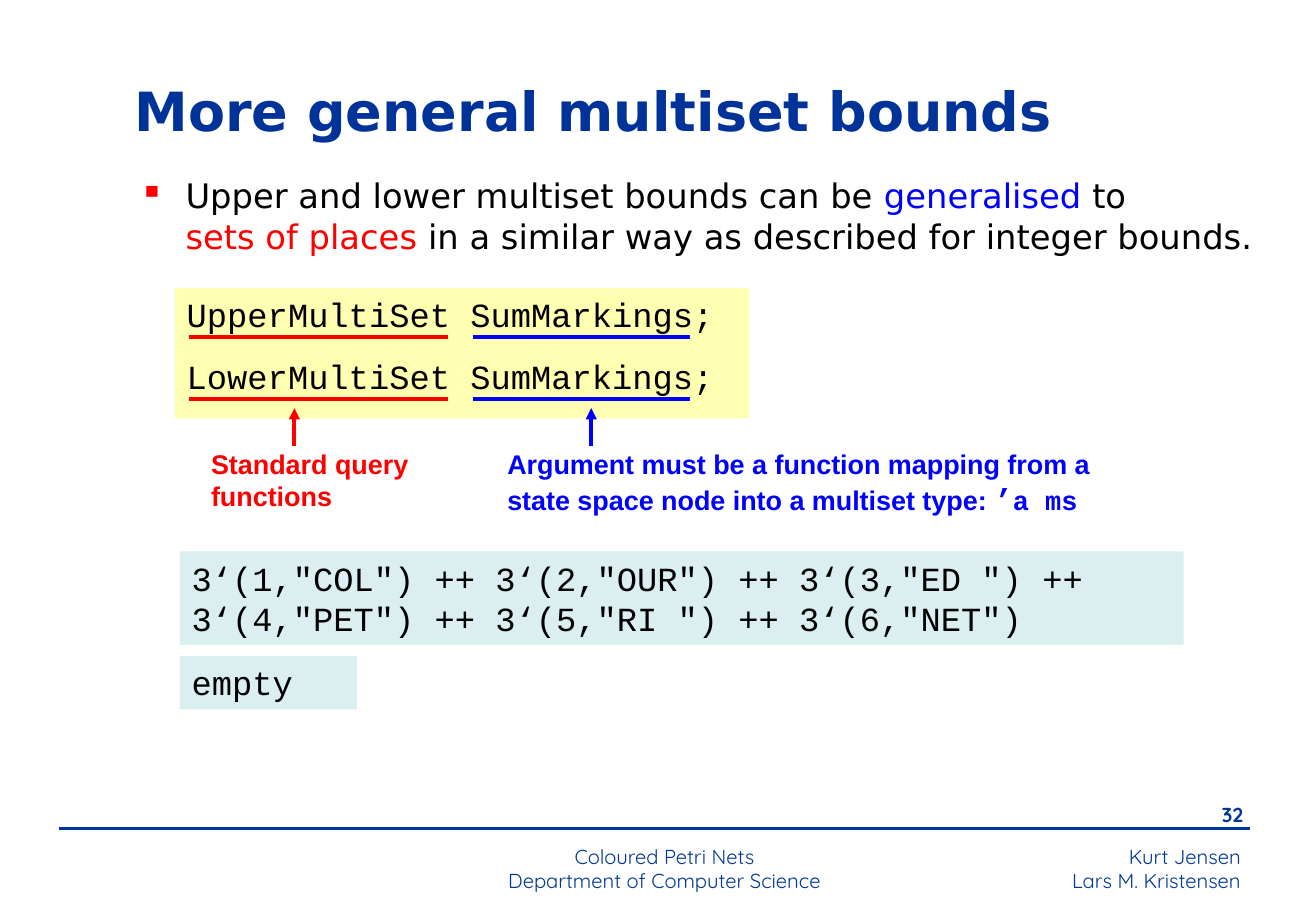
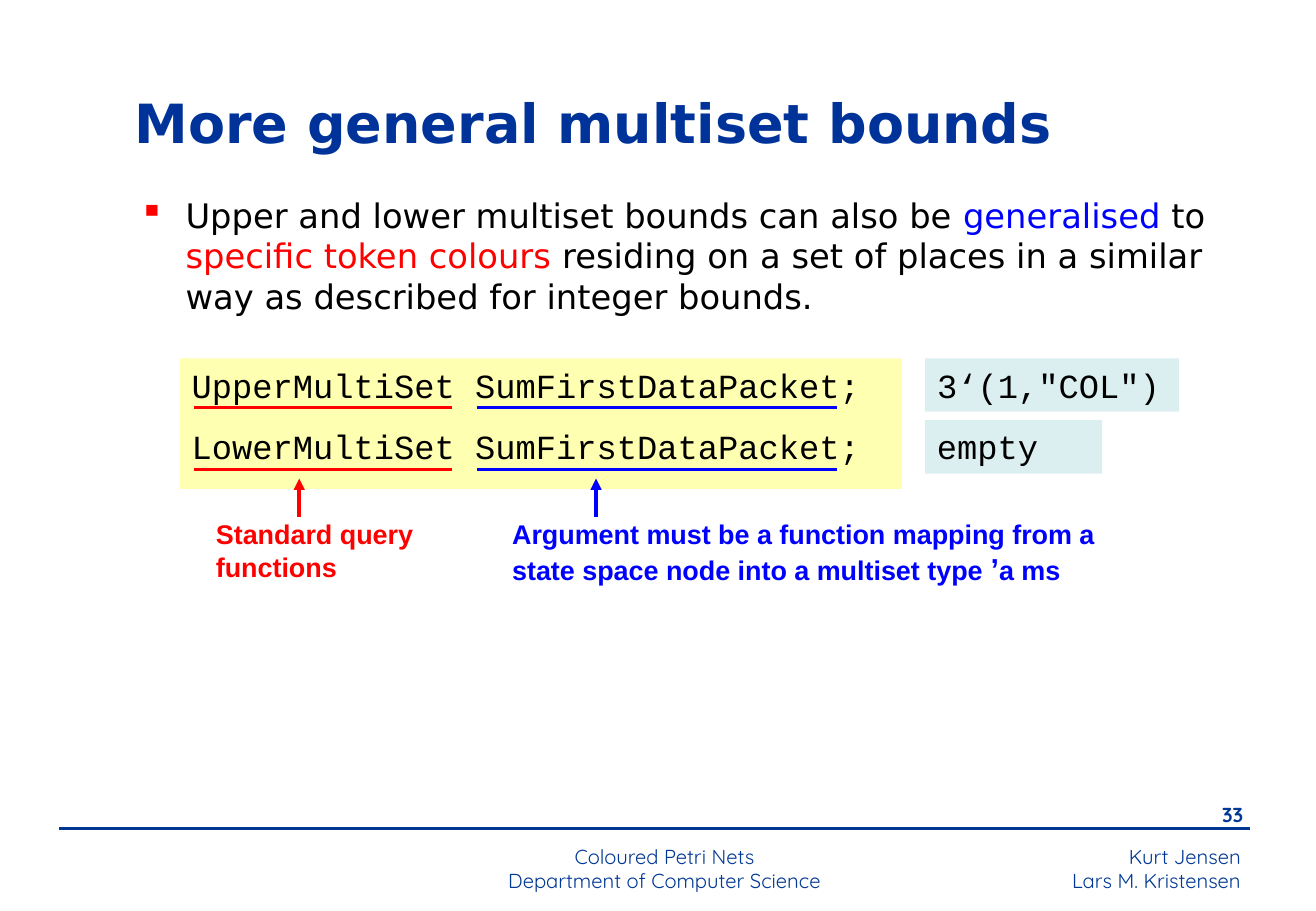
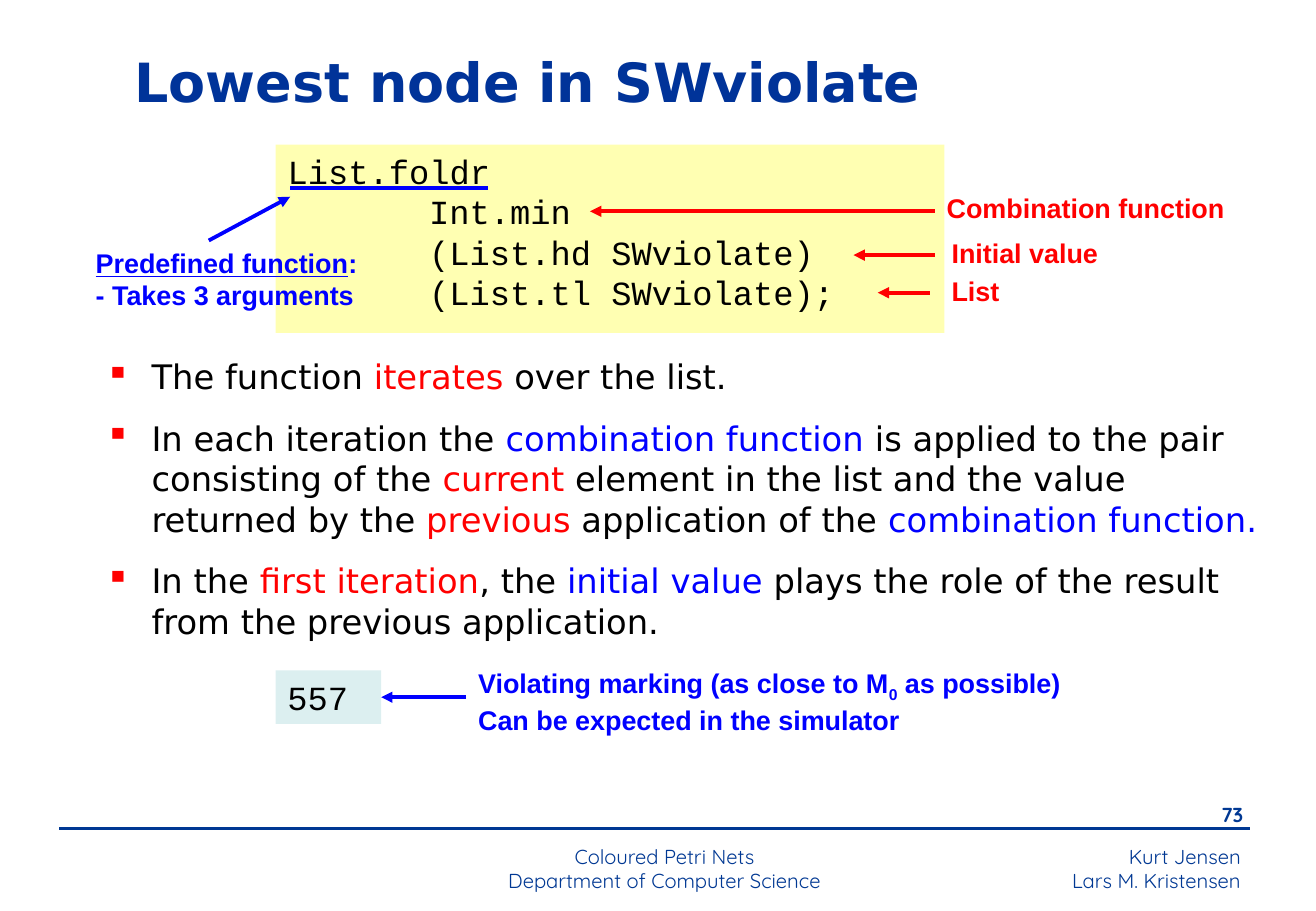
from dataclasses import dataclass

from pptx import Presentation
from pptx import util as u
from pptx.dml.color import RGBColor
from pptx.enum import shapes, text
from pptx.oxml.ns import qn
from lxml import etree


@dataclass(frozen=True)
class Theme:
    # Colours
    navy: str = "003893"
    title: str = "003399"
    black: str = "000000"
    red: str = "FF0000"
    blue: str = "0000FF"
    code: str = "FFFF66"
    result: str = "BBE0E3"
    # Fonts
    sans: str = "DejaVu Sans"
    mono: str = "Courier New"
    label: str = "Arial"
    foot: str = "Quicksand"
    # Type sizes and line widths in points
    head_size: int = 32
    body_size: int = 20
    note_size: int = 16
    quote_size: int = 18
    foot_size: int = 12
    rule: float = 1.5
    stroke: float = 2.25


T = Theme()
COLS, ROWS = 108.4, 75      # grid of the slide, ten cells to the inch
CELL = u.Inches(0.1)
CHAR = 5 / 3                # cells per character of code
ALIGN = text.PP_ALIGN


def grid(*cells):
    return [round(cell * CELL) for cell in cells]


def red(words):
    return words, dict(ink=T.red)


def blue(words):
    return words, dict(ink=T.blue)


def add(parent, tag, **attrs):
    return etree.SubElement(parent, qn(tag), attrs)


def style(run, font=T.sans, size=T.body_size, ink=T.black, bold=False,
          under=False, base=None):
    face = run.font
    face.name, face.size, face.bold = font, u.Pt(size), bold
    face.color.rgb = RGBColor.from_string(ink)
    if under:
        face.underline = True
    if base:
        run._r.get_or_add_rPr().set("baseline", str(base))


def write(frame, paras, align=ALIGN.LEFT, gap=0, bullet=False, indent=(),
          foot=0.5, anchor=text.MSO_ANCHOR.TOP, **look):
    """Fill a frame; a paragraph is a string or a list of strings and
    (string, format) pairs. A newline is a line break."""
    frame.word_wrap = True
    frame.vertical_anchor = anchor
    frame.margin_left, frame.margin_right = grid(1, 1)
    frame.margin_top, frame.margin_bottom = grid(0.5, foot)
    for n, runs in enumerate([paras] if isinstance(paras, str) else paras):
        para = frame.paragraphs[0] if n == 0 else frame.add_paragraph()
        para.alignment, para.space_before = align, u.Pt(gap)
        props = para._p.get_or_add_pPr()
        if n in indent:
            props.set("marL", str(grid(7 * CHAR)[0]))
        if bullet:
            hang = grid(3.8)[0]
            props.set("marL", str(hang))
            props.set("indent", str(-hang))
            add(add(props, "a:buClr"), "a:srgbClr", val=T.red)
            add(props, "a:buChar", char="▪")
        for item in [runs] if isinstance(runs, str) else runs:
            words, extra = (item, {}) if isinstance(item, str) else item
            for k, part in enumerate(words.split("\n")):
                if k:
                    para.add_line_break()
                if part:
                    run = para.add_run()
                    run.text = part
                    style(run, **{**look, **extra})


class Deck:
    def __init__(self):
        self.file = Presentation()
        self.file.slide_width, self.file.slide_height = grid(COLS, ROWS)
        self.slide = None

    def page(self, number, title, row):
        """Start a slide with its title and footer."""
        self.slide = self.file.slides.add_slide(self.file.slide_layouts[6])
        foot = dict(font=T.foot, size=T.foot_size, ink=T.navy)
        self.text(["Kurt Jensen", "Lars M. Kristensen"],
                  69.5, 69, 33.7, 5, align=ALIGN.RIGHT, **foot)
        self.text(number, 96.3, 65.6, 7.1, 3.3, align=ALIGN.RIGHT,
                  gap=7.5, bold=True, **foot)
        self.line((4.9, 68.2), (103, 68.2), T.navy, width=T.rule)
        self.text(["Coloured Petri Nets", "Department of Computer Science"],
                  34.1, 69, 41.3, 4.7, align=ALIGN.CENTER, **foot)
        self.text(title, 10.1, row, 82.7, 6.9, size=T.head_size, ink=T.title,
                  bold=True, anchor=text.MSO_ANCHOR.MIDDLE)

    def text(self, paras, col, row, wide, high, **look):
        box = self.slide.shapes.add_textbox(*grid(col, row, wide, high))
        write(box.text_frame, paras, **look)
        return box

    def note(self, paras, col, row, wide, high, ink, **look):
        return self.text(paras, col, row, wide, high, font=T.label,
                         size=T.note_size, ink=ink, bold=True, **look)

    def box(self, paras, col, row, wide, high, fill=T.result, **look):
        """Half-clear panel of code."""
        box = self.slide.shapes.add_shape(
            shapes.MSO_SHAPE.RECTANGLE, *grid(col, row, wide, high))
        box.shadow.inherit = False
        box.line.fill.background()
        box.fill.solid()
        box.fill.fore_color.rgb = RGBColor.from_string(fill)
        tint = box._element.spPr.find(".//" + qn("a:srgbClr"))
        add(tint, "a:alpha", val="50000")
        write(box.text_frame, paras, font=T.mono, **look)
        return box

    def line(self, start, end, ink, width=T.stroke, arrow=False,
             source=None, target=None):
        """Line between grid points, joined to source's left side and
        target's right side where given."""
        line = self.slide.shapes.add_connector(
            shapes.MSO_CONNECTOR.STRAIGHT, *grid(*start, *end))
        line.line.width = u.Pt(width)
        line.line.color.rgb = RGBColor.from_string(ink)
        if arrow:
            add(line.get_or_add_ln(), "a:tailEnd", type="triangle")
        add(line._element.spPr, "a:effectLst")
        if source is not None:
            line.begin_connect(source, 1)
        if target is not None:
            line.end_connect(target, 3)

    def mark(self, col, row, first, count, ink):
        """Underline count characters of the code that starts at col."""
        left = col + first * CHAR
        self.line((left + 0.2, row), (left + count * CHAR - 0.2, row), ink)

    def query(self, col, row, wide, name, detail):
        """Two queries with underlines, arrows and notes."""
        funcs = "UpperMultiSet", "LowerMultiSet"
        self.box([f"{func} {name};" for func in funcs], col, row, wide, 10.75,
                 fill=T.code, gap=12.5, foot=1.7)
        for n, func in enumerate(funcs):
            base = row + 4.05 + 5.1 * n
            self.mark(col + 1, base, 0, len(func), T.red)
            self.mark(col + 1, base, len(func) + 1, len(name), T.blue)
        notes = ((2, 9.85, 20.1, T.red, "Standard query functions"),
                 (26.4, 34.3, 50.8, T.blue, detail))
        for left, tip, span, ink, words in notes:
            self.note([words], col + left, row + 12.65, span, 6.5, ink, gap=10)
            self.line((col + tip, row + 13.05), (col + tip, row + 9.9),
                      ink, arrow=True)


def places(deck):
    deck.page("32", "More general multiset bounds", 5.6)
    deck.text([["Upper and lower multiset bounds can be ", blue("generalised"),
                " to\n", red("sets of places"),
                " in a similar way as described for integer bounds."]],
              10.5, 13.9, 97.9, 7.9, bullet=True, gap=5)
    deck.query(14.4, 23.7, 47.3, "SumMarkings", [
        "Argument must be a function mapping from a state space node "
        "into a multiset type: ",
        ("’", dict(font=T.mono, size=T.quote_size)),
        ("a ms", dict(font=T.mono))])
    # Results
    deck.box('3‘(1,"COL") ++ 3‘(2,"OUR") ++ 3‘(3,"ED ") ++\n'
             '3‘(4,"PET") ++ 3‘(5,"RI ") ++ 3‘(6,"NET")',
             14.8, 45.4, 82.7, 7.7)
    deck.box("empty", 14.8, 54, 14.6, 4.4)


def tokens(deck):
    deck.page("33", "More general multiset bounds", 6.6)
    deck.text([["Upper and lower multiset bounds can also be ",
                blue("generalised"), " to ", red("specific token colours"),
                " residing on a set of places in a similar way as described "
                "for integer bounds."]],
              10.5, 15.5, 90.2, 12.2, bullet=True, gap=5)
    deck.query(14.8, 29.5, 59.5, "SumFirstDataPacket", [
        "Argument must be a function mapping from a state space node "
        "into a multiset type ",
        ("’", dict(size=T.quote_size)), "a ms"])
    # Results
    deck.box('3‘(1,"COL")', 76.2, 29.5, 20.9, 4.4)
    deck.box("empty", 76.2, 34.6, 14.6, 4.4)


def lowest(deck):
    deck.page("73", "Lowest node in SWviolate", 3.2)
    # Code with its notes
    deck.box(["List.foldr", "Int.min", "(List.hd SWviolate)",
              "(List.tl SWviolate);"], 22.7, 11.9, 55.1, 15.5,
             fill=T.code, foot=1.7, indent=(1, 2, 3))
    deck.mark(23.7, 15.5, 0, len("List.foldr"), T.blue)
    deck.line((17.2, 19.8), (23.9, 16.2), T.blue, arrow=True)
    deck.note([[("Predefined function", dict(under=True)), ":"],
               "- Takes 3 arguments"], 6.9, 19.8, 24.4, 6.4, T.blue)
    whole = deck.note("Combination function", 77, 15.3, 26.4, 4.2, T.red)
    deck.line((77, 17.4), (48.6, 17.4), T.red, arrow=True, source=whole)
    for words, row, tail, tip in (("Initial value", 19, 77, 70.3),
                                  ("List", 22.1, 76.6, 72.3)):
        deck.note(words, 77.4, row, 26.4, 3.7, T.red)
        deck.line((tail, row + 2), (tip, row + 2), T.red, arrow=True)
    # Explanation
    deck.text([
        ["The function ", red("iterates"), " over the list."],
        ["In each iteration the ", blue("combination function"),
         " is applied to the pair consisting of the ", red("current"),
         " element in the list and the value returned by the ",
         red("previous"), " application of the ",
         blue("combination function.")],
        ["In the ", red("first iteration"), ", the ", blue("initial value"),
         " plays the role of the result from the previous application."]],
        7.7, 28.8, 97.2, 26.4, bullet=True, gap=12.5)
    # Result with its note
    answer = deck.box("557", 22.7, 55.2, 8.7, 4.4)
    remark = deck.note([["Violating marking (as close to M",
                         ("0", dict(base=-25000)), " as possible)"],
                        "Can be expected in the simulator"],
                       38.4, 54.4, 55.5, 6, T.blue)
    deck.line((38.4, 57.4), (31.4, 57.4), T.blue, arrow=True,
              source=remark, target=answer)


def main():
    deck = Deck()
    for build in (places, tokens, lowest):
        build(deck)
    deck.file.save("out.pptx")


if __name__ == "__main__":
    main()
